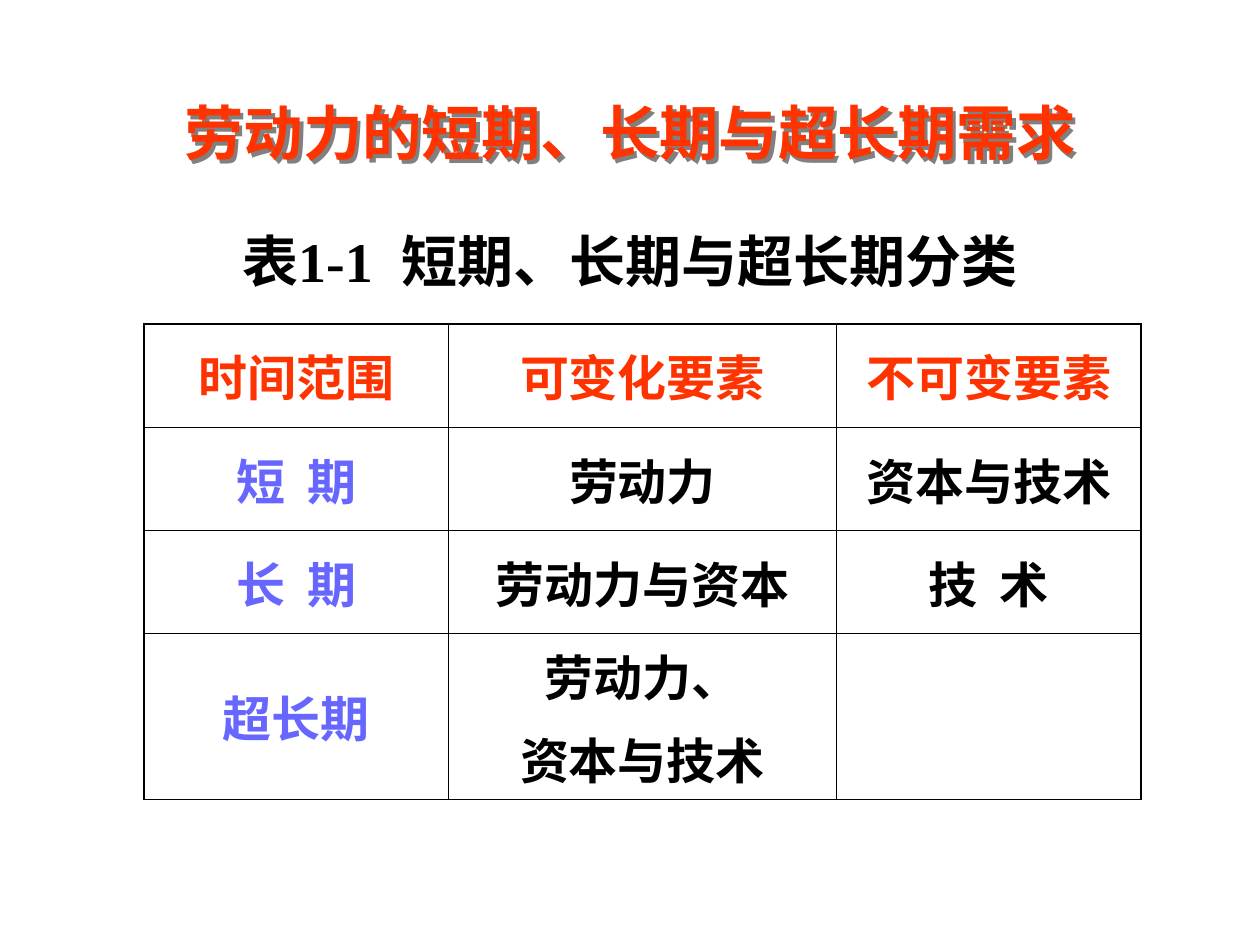
from lxml import etree
from pptx import Presentation
from pptx import util as u
from pptx.dml import color
from pptx.enum import text
from pptx.oxml import ns

ASIAN_FONT = "Noto Sans CJK SC"
RED, BLUE, BLACK, GREY = "FF3300", "6767FF", "000000", "808080"
THIN, THICK = 0.45, 1.08


def rgb(value):
    return color.RGBColor.from_string(value)


def add_element(parent, tag, **attributes):
    return etree.SubElement(parent, ns.qn(tag), attributes)


def set_attributes(target, values):
    for name, value in values.items():
        setattr(target, name, value)


def place(shape, box):
    set_attributes(shape, dict(zip(("left", "top", "width", "height"), box)))


def add_run(paragraph, wording, size, fill, name="Arial"):
    run = paragraph.add_run()
    run.text = wording
    set_attributes(run.font, {"size": u.Pt(size), "bold": True, "name": name})
    run.font.color.rgb = rgb(fill)
    latin = run.font._element.find(ns.qn("a:latin"))
    latin.addnext(latin.makeelement(ns.qn("a:ea"), {"typeface": ASIAN_FONT}))


def add_text_shadow(shape):
    shape.fill.background()
    shape.shadow.inherit = False
    effects = shape._element.spPr.find(ns.qn("a:effectLst"))
    shadow = add_element(
        effects, "a:outerShdw", dist="36000", dir="2700000", algn="ctr", rotWithShape="0"
    )
    add_element(shadow, "a:srgbClr", val=GREY)


def set_borders(cell, widths):
    properties = cell._tc.get_or_add_tcPr()
    for index, (side, width) in enumerate(widths.items()):
        line = properties.makeelement(ns.qn(f"a:ln{side}"), {"w": str(u.Pt(width))})
        add_element(add_element(line, "a:solidFill"), "a:srgbClr", val=BLACK)
        properties.insert(index, line)


def build_title(slide, box):
    title = slide.shapes.title
    place(title, box)
    add_text_shadow(title)
    title.text_frame.vertical_anchor = text.MSO_ANCHOR.MIDDLE
    paragraph = title.text_frame.paragraphs[0]
    paragraph.alignment = text.PP_ALIGN.CENTER
    add_run(paragraph, "劳动力的短期、长期与超长期需求", 34, RED)


def build_caption(slide, box):
    frame = slide.shapes.add_textbox(*box).text_frame
    frame.word_wrap = True
    paragraph = frame.paragraphs[0]
    paragraph.alignment = text.PP_ALIGN.CENTER
    for wording, name in (
        ("表", "Arial"),
        ("1-1  ", "Times New Roman"),
        ("短期、长期与超长期分类", "Arial"),
    ):
        add_run(paragraph, wording, 32, BLACK, name)


def fill_cell(cell, lines, fill, name):
    cell.fill.background()
    cell.vertical_anchor = text.MSO_ANCHOR.MIDDLE
    frame = cell.text_frame
    for index, line in enumerate(lines):
        paragraph = frame.add_paragraph() if index else frame.paragraphs[0]
        paragraph.alignment = text.PP_ALIGN.CENTER
        if index:
            paragraph.space_before = u.Pt(7)
        add_run(paragraph, line, 28, fill, name)


def build_table(slide, box):
    rows = (
        (["时间范围"], ["可变化要素"], ["不可变要素"]),
        (["短  期"], ["劳动力"], ["资本与技术"]),
        (["长  期"], ["劳动力与资本"], ["技  术"]),
        (["超长期"], ["劳动力、", "资本与技术"], []),
    )
    heights, widths = (2.08, 2.08, 2.08, 3.35), (6.14, 7.82, 6.14)
    table = slide.shapes.add_table(len(rows), len(widths), *box).table
    set_attributes(table, {"first_row": False, "horz_banding": False})
    for column, width in zip(table.columns, widths):
        column.width = u.Cm(width)
    for row, height in zip(table.rows, heights):
        row.height = u.Cm(height)
    last_row, last_column = len(rows) - 1, len(widths) - 1
    for i, row in enumerate(rows):
        for j, lines in enumerate(row):
            cell = table.cell(i, j)
            is_period = i > 0 and j == 0
            fill = RED if i == 0 else BLUE if is_period else BLACK
            fill_cell(cell, lines, fill, ASIAN_FONT if is_period else "Arial")
            outer = {"L": j == 0, "R": j == last_column, "T": i == 0, "B": i == last_row}
            set_borders(cell, {side: THICK if edge else THIN for side, edge in outer.items()})


def main():
    presentation = Presentation()
    set_attributes(presentation, {"slide_width": u.Cm(25.4), "slide_height": u.Cm(19.05)})
    slide = presentation.slides.add_slide(presentation.slide_layouts.get_by_name("Title Only"))
    build_title(slide, (u.Cm(1.9), u.Cm(1.07), u.Cm(21.6), u.Cm(3.18)))
    build_caption(slide, (u.Cm(1.27), u.Cm(4.45), u.Cm(22.86), u.Cm(12.57)))
    build_table(slide, (u.Cm(2.9), u.Cm(6.53), u.Cm(20.1), u.Cm(9.59)))
    presentation.save("out.pptx")


if __name__ == "__main__":
    main()
